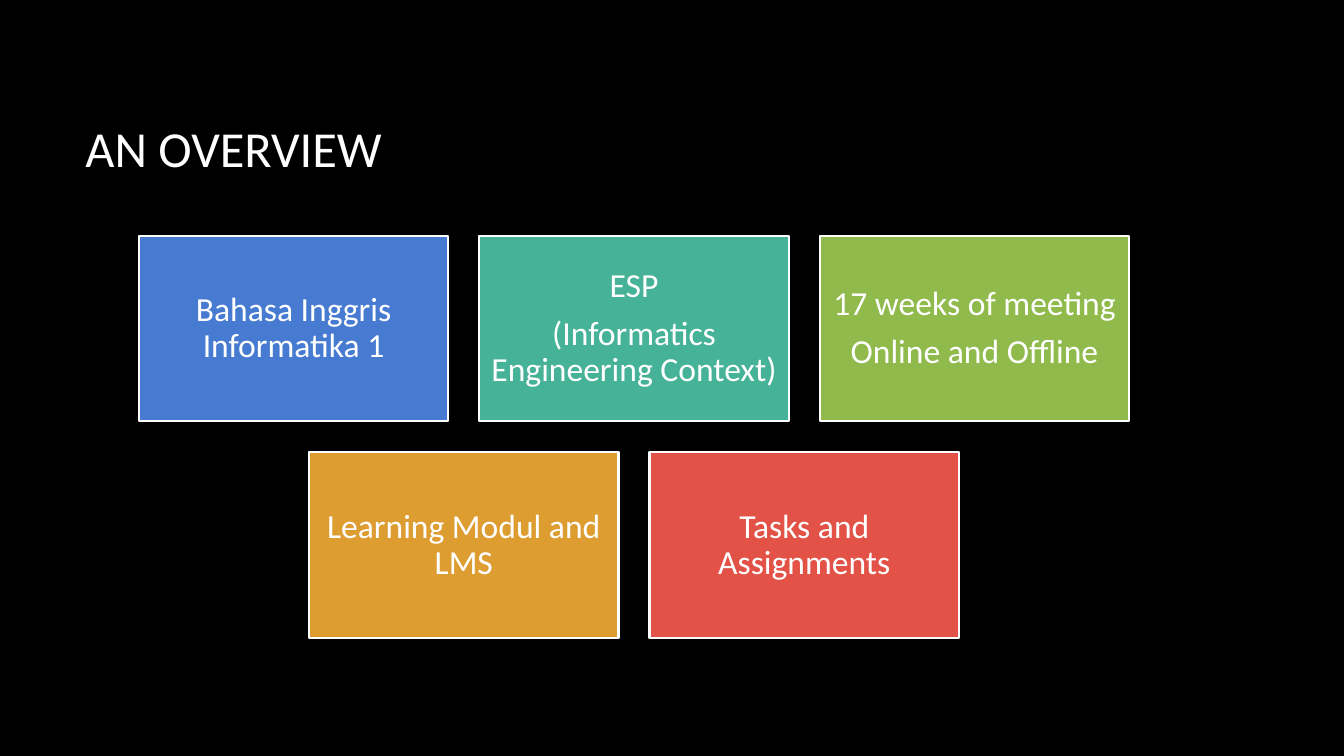
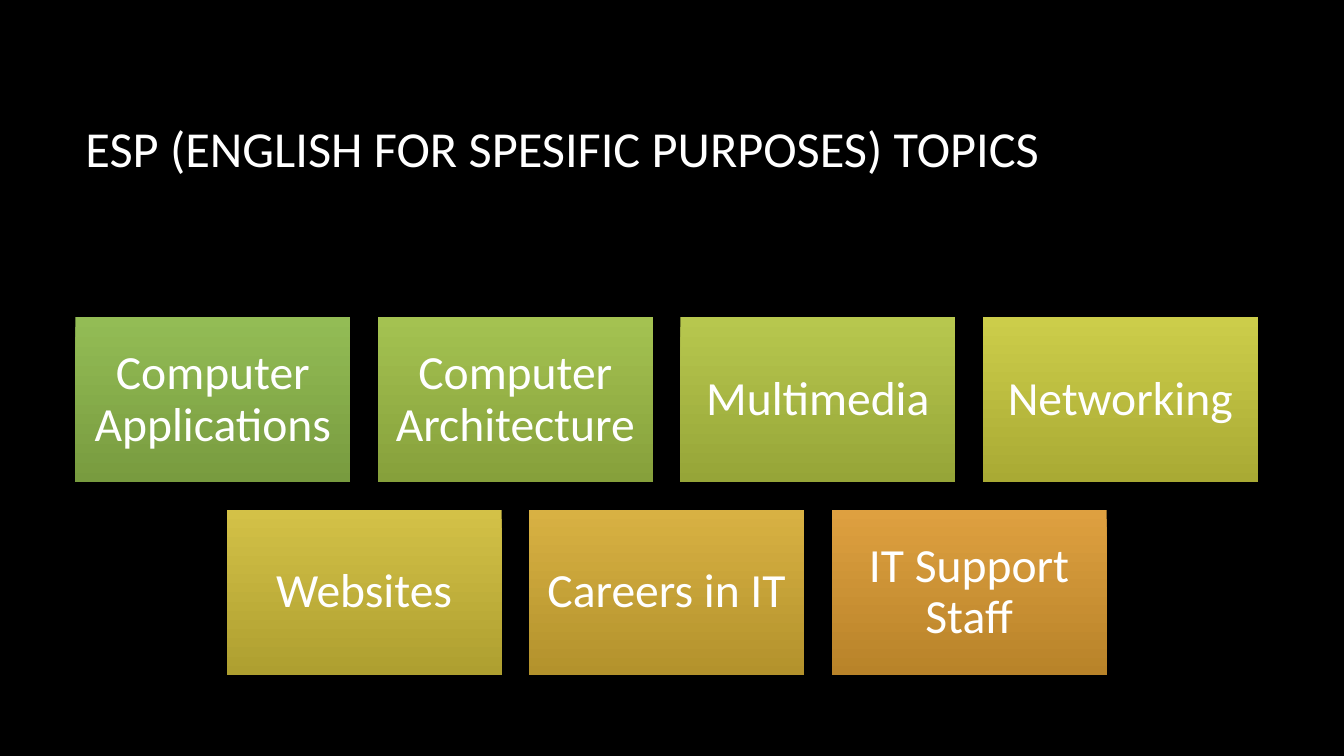
from pptx import Presentation
from pptx import util as u
from pptx.dml.color import RGBColor
from pptx.enum import shapes, text

# Shared style
FONT = "Calibri"
WHITE = "FFFFFF"
BLACK = "000000"
TITLE_SIZE = 36
TITLE_BOX = (1.9, 1.7, 28.15, 4.04)  # left, top, width, height in cm

# Each card: text, then one fill colour or a top and bottom colour
OVERVIEW_ROWS = [
    [("Bahasa Inggris Informatika 1", "477BD1"),
     ("ESP\n(Informatics Engineering Context)", "46B298"),
     ("17 weeks of meeting\nOnline and Offline", "90BA4C")],
    [("Learning Modul and LMS", "DD9D31"),
     ("Tasks and Assignments", "E25247")],
]
TOPIC_ROWS = [
    [("Computer Applications", "93BC55", "789B3F"),
     ("Computer Architecture", "A4C251", "86A03B"),
     ("Multimedia", "B7C74E", "96A538"),
     ("Networking", "CCCD4A", "A9AA34")],
    [("Websites", "D3C147", "AE9F30"),
     ("Careers in IT", "D8B143", "B3922C"),
     ("IT Support Staff", "DEA040", "B88329")],
]


def colour(hex_code):
    return RGBColor.from_string(hex_code)


def paint(fill, colours):
    """Fill with one colour, or with a gradient from top to bottom."""
    if len(colours) == 1:
        fill.solid()
        fill.fore_color.rgb = colour(colours[0])
        return
    fill.gradient()
    fill.gradient_angle = 270
    for stop, hex_code in zip(fill.gradient_stops, colours):
        stop.color.rgb = colour(hex_code)


def format_text(frame, size, align):
    frame.word_wrap = True
    frame.auto_size = text.MSO_AUTO_SIZE.NONE
    frame.vertical_anchor = text.MSO_ANCHOR.MIDDLE
    for paragraph in frame.paragraphs:
        paragraph.alignment = align
        for run in paragraph.runs:
            run.font.name = FONT
            run.font.size = u.Pt(size)
            run.font.color.rgb = colour(WHITE)


def set_up_layout(prs):
    """Give the master its background and the layout its title position."""
    paint(prs.slide_master.background.fill, [BLACK])
    layout = prs.slide_layouts.get_by_name("Title Only")
    title = layout.placeholders[0]
    title.left, title.top, title.width, title.height = map(u.Cm, TITLE_BOX)
    return layout


def add_titled_slide(prs, layout, heading):
    slide = prs.slides.add_slide(layout)
    frame = slide.shapes.title.text_frame
    frame.text = heading
    format_text(frame, TITLE_SIZE, text.PP_ALIGN.LEFT)
    return slide


def add_card(slide, box, label, colours, size, inset, outline):
    card = slide.shapes.add_shape(shapes.MSO_SHAPE.RECTANGLE, *map(u.Cm, box))
    card.shadow.inherit = False
    paint(card.fill, colours)
    if outline:
        card.line.color.rgb = colour(WHITE)
        card.line.width = u.Pt(outline)
    else:
        card.line.fill.background()

    frame = card.text_frame
    frame.text = label
    format_text(frame, size, text.PP_ALIGN.CENTER)
    frame.margin_left = frame.margin_right = u.Cm(inset)
    frame.margin_top = frame.margin_bottom = u.Cm(inset)
    for paragraph in frame.paragraphs:
        paragraph.line_spacing = 0.9
        paragraph.space_after = u.Pt(0.35 * size)


def add_card_rows(slide, rows, centre, top, width, size, inset, outline=0):
    """Centre each row of cards; height and gap follow from the card width."""
    height, gap = 0.6 * width, 0.1 * width
    for row_number, row in enumerate(rows):
        row_width = len(row) * (width + gap) - gap
        y = top + row_number * (height + gap)
        for column, (label, *colours) in enumerate(row):
            x = centre - row_width / 2 + column * (width + gap)
            add_card(slide, (x, y, width, height), label, colours,
                     size, inset, outline)


def main():
    prs = Presentation()
    prs.slide_width, prs.slide_height = u.Cm(33.87), u.Cm(19.05)
    layout = set_up_layout(prs)

    # Course overview
    overview = add_titled_slide(prs, layout, "AN OVERVIEW")
    add_card_rows(overview, OVERVIEW_ROWS, centre=15.98, top=5.94, width=7.8,
                  size=24, inset=0.25, outline=1.5)

    # Topics
    topics = add_titled_slide(prs, layout,
                              "ESP (ENGLISH FOR SPESIFIC PURPOSES) TOPICS")
    add_card_rows(topics, TOPIC_ROWS, centre=16.8, top=8, width=6.93,
                  size=34, inset=0.36)

    prs.save("out.pptx")


if __name__ == "__main__":
    main()
